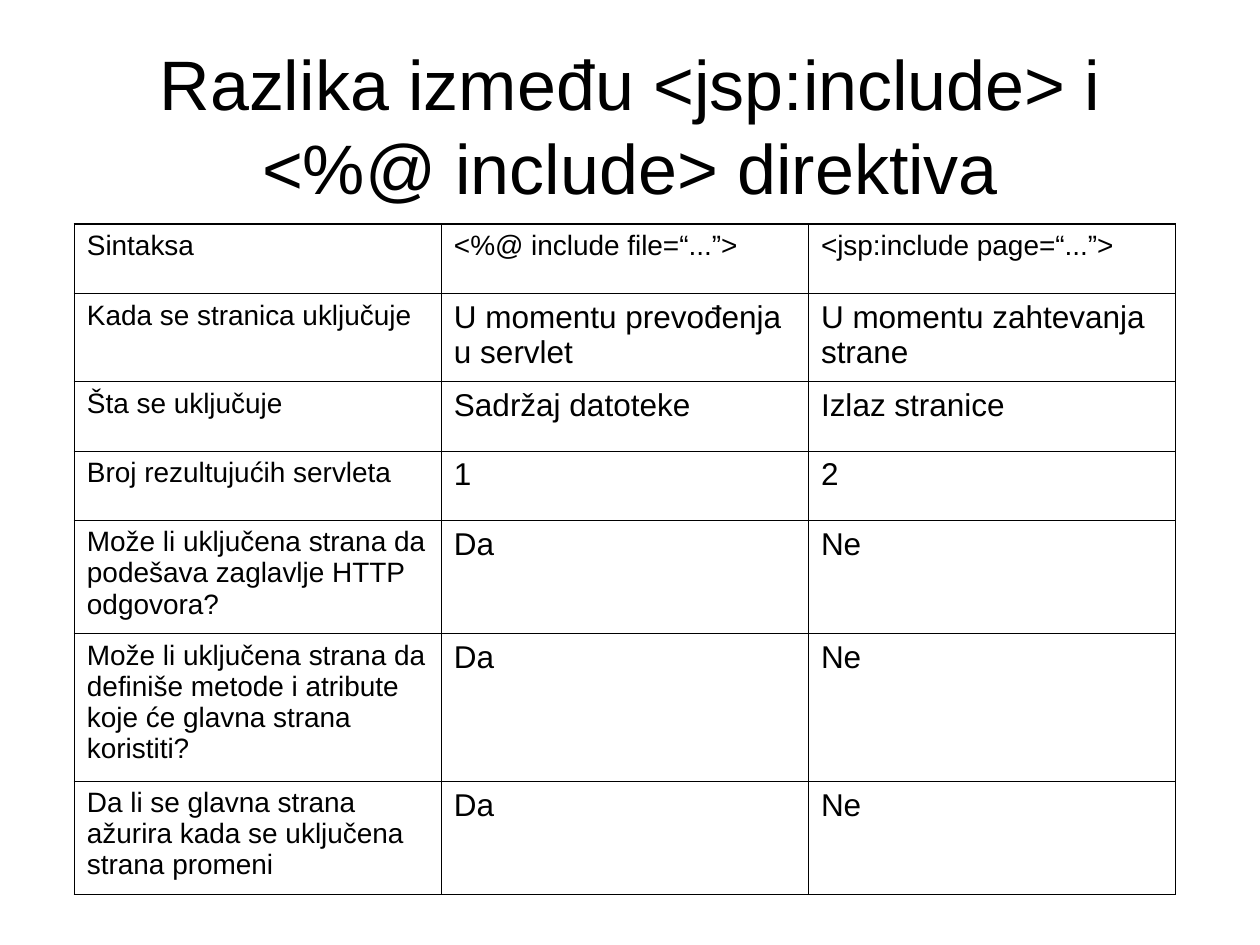
from lxml import etree
from pptx import Presentation
from pptx.dml.color import RGBColor
from pptx.enum.text import MSO_ANCHOR, MSO_AUTO_SIZE, PP_ALIGN
from pptx.oxml.ns import qn
from pptx.util import Inches, Pt

CENTER, LEFT = PP_ALIGN.CENTER, PP_ALIGN.LEFT
MIDDLE, TOP = MSO_ANCHOR.MIDDLE, MSO_ANCHOR.TOP
NO_AUTOFIT = MSO_AUTO_SIZE.NONE
TITLE_ONLY = 5

FONT = "Arial"
BLACK = "000000"
WHITE = "FFFFFF"
LABEL_SIZE, ANSWER_SIZE, TITLE_SIZE = 16, 18, 40
OUTER_LINE, INNER_LINE = 1.08, 0.45

TITLE = "Razlika između <jsp:include> i <%@ include> direktiva"
TITLE_BOX = (0.75, 0.36, 8.5, 1.25)
TABLE_BOX = (0.59, 1.78, 8.74, 5.32)
ROW_HEIGHTS = (0.55, 0.7, 0.55, 0.55, 0.9, 1.17, 0.9)
COMPARISON = (
    ("Sintaksa", "<%@ include file=“...”>", "<jsp:include page=“...”>"),
    ("Kada se stranica uključuje", "U momentu prevođenja u servlet",
     "U momentu zahtevanja strane"),
    ("Šta se uključuje", "Sadržaj datoteke", "Izlaz stranice"),
    ("Broj rezultujućih servleta", "1", "2"),
    ("Može li uključena strana da podešava zaglavlje HTTP odgovora?", "Da", "Ne"),
    ("Može li uključena strana da definiše metode i atribute koje će glavna "
     "strana koristiti?", "Da", "Ne"),
    ("Da li se glavna strana ažurira kada se uključena strana promeni", "Da", "Ne"),
)


def color(value):
    return RGBColor.from_string(value)


def write_text(text_frame, text, size, alignment):
    text_frame.text = text
    text_frame.word_wrap = True
    paragraph = text_frame.paragraphs[0]
    paragraph.alignment = alignment
    for run in paragraph.runs:
        run.font.name = FONT
        run.font.size = Pt(size)
        run.font.color.rgb = color(BLACK)


def set_borders(cell, widths):
    """Draw cell borders; widths maps L, R, T, B, in that order, to points."""
    properties = cell._tc.get_or_add_tcPr()
    for index, (side, width) in enumerate(widths.items()):
        line = etree.Element(qn(f"a:ln{side}"), w=str(Pt(width)))
        fill = etree.SubElement(line, qn("a:solidFill"))
        etree.SubElement(fill, qn("a:srgbClr"), val=BLACK)
        properties.insert(index, line)


def add_title(slide, box):
    title = slide.shapes.title
    title.left, title.top, title.width, title.height = map(Inches, box)
    write_text(title.text_frame, TITLE, TITLE_SIZE, CENTER)
    title.text_frame.auto_size = NO_AUTOFIT
    title.text_frame.vertical_anchor = MIDDLE


def add_comparison_table(slide, box):
    row_count, column_count = len(COMPARISON), len(COMPARISON[0])
    table = slide.shapes.add_table(row_count, column_count, *map(Inches, box)).table
    table.first_row = table.horz_banding = False
    for column in table.columns:
        column.width = Inches(box[2] / column_count)
    for row, height in zip(table.rows, ROW_HEIGHTS):
        row.height = Inches(height)

    for row_index, texts in enumerate(COMPARISON):
        for column_index, text in enumerate(texts):
            is_label = row_index == 0 or column_index == 0
            cell = table.cell(row_index, column_index)
            write_text(cell.text_frame, text,
                       LABEL_SIZE if is_label else ANSWER_SIZE, LEFT)
            cell.vertical_anchor = TOP
            cell.fill.background()
            set_borders(cell, {
                "L": OUTER_LINE if column_index == 0 else INNER_LINE,
                "R": INNER_LINE,
                "T": OUTER_LINE if row_index == 0 else INNER_LINE,
                "B": OUTER_LINE if row_index == row_count - 1 else INNER_LINE,
            })


def main():
    presentation = Presentation()
    presentation.slide_width = Inches(10)
    presentation.slide_height = Inches(7.5)
    slide = presentation.slides.add_slide(presentation.slide_layouts[TITLE_ONLY])
    slide.background.fill.solid()
    slide.background.fill.fore_color.rgb = color(WHITE)
    add_title(slide, TITLE_BOX)
    add_comparison_table(slide, TABLE_BOX)
    presentation.save("out.pptx")


if __name__ == "__main__":
    main()
